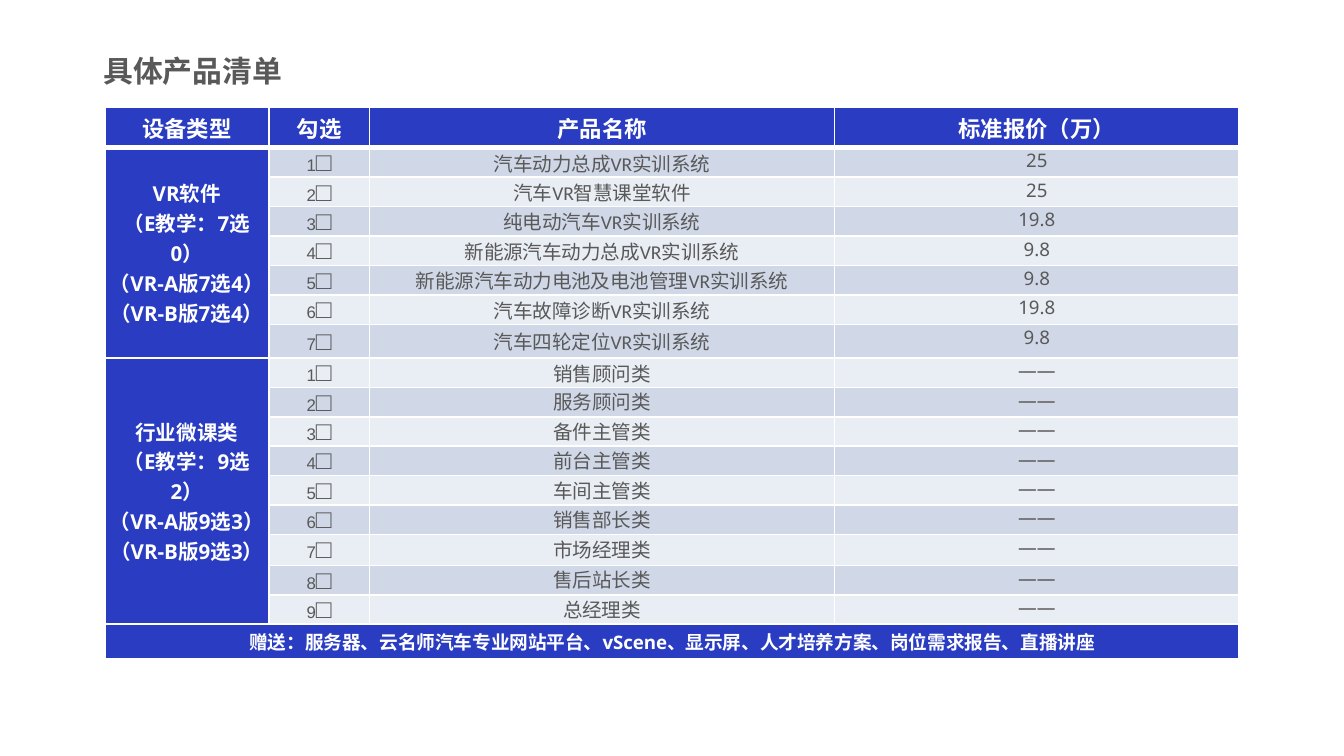
"""Build the product list slide with its price table."""
from dataclasses import dataclass

from lxml.etree import SubElement
from pptx import Presentation
from pptx.dml.color import RGBColor
from pptx.enum.text import MSO_ANCHOR, PP_ALIGN
from pptx.oxml.ns import qn
from pptx.util import Inches, Pt

BLUE = RGBColor(0x29, 0x3C, 0xC2)
DARK_BAND = RGBColor(0xD0, 0xD8, 0xE8)
LIGHT_BAND = RGBColor(0xE9, 0xED, 0xF4)
GRAY = RGBColor(0x59, 0x59, 0x59)
WHITE = RGBColor(0xFF, 0xFF, 0xFF)

COLUMN_WIDTHS = [1.22, 0.75, 3.46, 3.01]
ROW_HEIGHTS = [0.3, 0.13, 0.16, 0.13, 0.13, 0.16] + [0.13] * 8 + [0.23, 0.13, 0.13, 0.26]
HEADERS = ["设备类型", "勾选", "产品名称", "标准报价（万）"]
GIFTS = [
    ("赠送：服务器、", "Noto Sans"),
    ("云名师汽车专业网站平台", "Calibri"),
    ("、vScene、显示屏、人才培养方案、岗位需求报告、直播讲座", "Noto Sans"),
]


@dataclass
class Product:
    name: str
    price: str = "——"


@dataclass
class Category:
    lines: list[str]
    products: list[Product]


CATEGORIES = [
    Category(
        ["VR软件", "（E教学：7选0）", "（VR-A版7选4）", "（VR-B版7选4）"],
        [
            Product("汽车动力总成VR实训系统", "25"),
            Product("汽车VR智慧课堂软件", "25"),
            Product("纯电动汽车VR实训系统", "19.8"),
            Product("新能源汽车动力总成VR实训系统", "9.8"),
            Product("新能源汽车动力电池及电池管理VR实训系统", "9.8"),
            Product("汽车故障诊断VR实训系统", "19.8"),
            Product("汽车四轮定位VR实训系统", "9.8"),
        ],
    ),
    Category(
        ["行业微课类", "（E教学：9选2）", "（VR-A版9选3）", "（VR-B版9选3）"],
        [
            Product(name)
            for name in ["销售顾问类", "服务顾问类", "备件主管类", "前台主管类", "车间主管类",
                         "销售部长类", "市场经理类", "售后站长类", "总经理类"]
        ],
    ),
]


def add_text(p, text: str, *, size: float, font: str = "Noto Sans",
             color: RGBColor = GRAY, bold: bool = False) -> None:
    r = p.add_run()
    r.text = text
    r.font.size = Pt(size)
    r.font.name = font
    r.font.bold = bold
    r.font.color.rgb = color


def add_line(cell, text: str, *, first: bool = True, **style) -> None:
    tf = cell.text_frame
    p = tf.paragraphs[0] if first else tf.add_paragraph()
    p.alignment = PP_ALIGN.CENTER
    add_text(p, text, **style)


def set_borders(cell, bottom: float = 1) -> None:
    tc_pr = cell._tc.get_or_add_tcPr()
    for i, (side, width) in enumerate([("L", 1), ("R", 1), ("T", 1), ("B", bottom)]):
        ln = SubElement(tc_pr, qn(f"a:ln{side}"), w=str(Pt(width)))
        fill = SubElement(ln, qn("a:solidFill"))
        SubElement(fill, qn("a:srgbClr"), val=str(WHITE))
        tc_pr.insert(i, ln)


def format_cell(cell, row: int, column: int) -> None:
    is_header, is_footer = row == 0, row == len(ROW_HEIGHTS) - 1
    is_blue = is_header or is_footer or column == 0
    side = 0.07 if column == 2 and not is_blue else 0.02
    cell.margin_left = cell.margin_right = Inches(side)
    cell.margin_top = cell.margin_bottom = 0
    if is_blue or (column < 3 and row <= 8):
        cell.vertical_anchor = MSO_ANCHOR.MIDDLE
    cell.fill.solid()
    cell.fill.fore_color.rgb = BLUE if is_blue else DARK_BAND if row % 2 else LIGHT_BAND
    if is_header:
        set_borders(cell, bottom=3)
    elif row > 1:
        set_borders(cell)


def add_category(table, category: Category, top: int) -> None:
    cell = table.cell(top, 0)
    cell.merge(table.cell(top + len(category.products) - 1, 0))
    for i, line in enumerate(category.lines):
        add_line(cell, line, first=i == 0, size=11, color=WHITE, bold=True)
    for i, product in enumerate(category.products):
        row = top + i
        check = table.cell(row, 1)
        add_line(check, str(i + 1), size=9, font="Arial")
        add_text(check.text_frame.paragraphs[0], "□", size=14, font="Arial")
        add_line(table.cell(row, 2), product.name, size=10.5, font="Calibri")
        add_line(table.cell(row, 3), product.price, size=10)


def add_product_table(s) -> None:
    frame = s.shapes.add_table(len(ROW_HEIGHTS), len(COLUMN_WIDTHS),
                               Inches(0.78), Inches(0.8), Inches(8.44), Inches(4.3))
    table = frame.table
    for column, width in zip(table.columns, COLUMN_WIDTHS):
        column.width = Inches(width)
    for row, height in zip(table.rows, ROW_HEIGHTS):
        row.height = Inches(height)
    frame.height = Inches(4.3)
    for row in range(len(ROW_HEIGHTS)):
        for column in range(len(COLUMN_WIDTHS)):
            format_cell(table.cell(row, column), row, column)
    for column, header in enumerate(HEADERS):
        add_line(table.cell(0, column), header, size=12, color=WHITE, bold=True)
    top = 1
    for category in CATEGORIES:
        add_category(table, category, top)
        top += len(category.products)
    footer = table.cell(top, 0)
    footer.merge(table.cell(top, len(COLUMN_WIDTHS) - 1))
    p = footer.text_frame.paragraphs[0]
    p.alignment = PP_ALIGN.CENTER
    for text, font in GIFTS:
        add_text(p, text, size=10, font=font, color=WHITE, bold=True)


def main() -> None:
    prs = Presentation()
    prs.slide_width = Inches(10)
    prs.slide_height = prs.slide_width * 9 // 16
    s = prs.slides.add_slide(prs.slide_layouts[6])
    add_product_table(s)
    title = s.shapes.add_textbox(Inches(0.67), Inches(0.34), Inches(2.09), Inches(0.37))
    title.text_frame.word_wrap = True
    add_text(title.text_frame.paragraphs[0], "具体产品清单", size=16, bold=True)
    prs.save("out.pptx")


if __name__ == "__main__":
    main()
